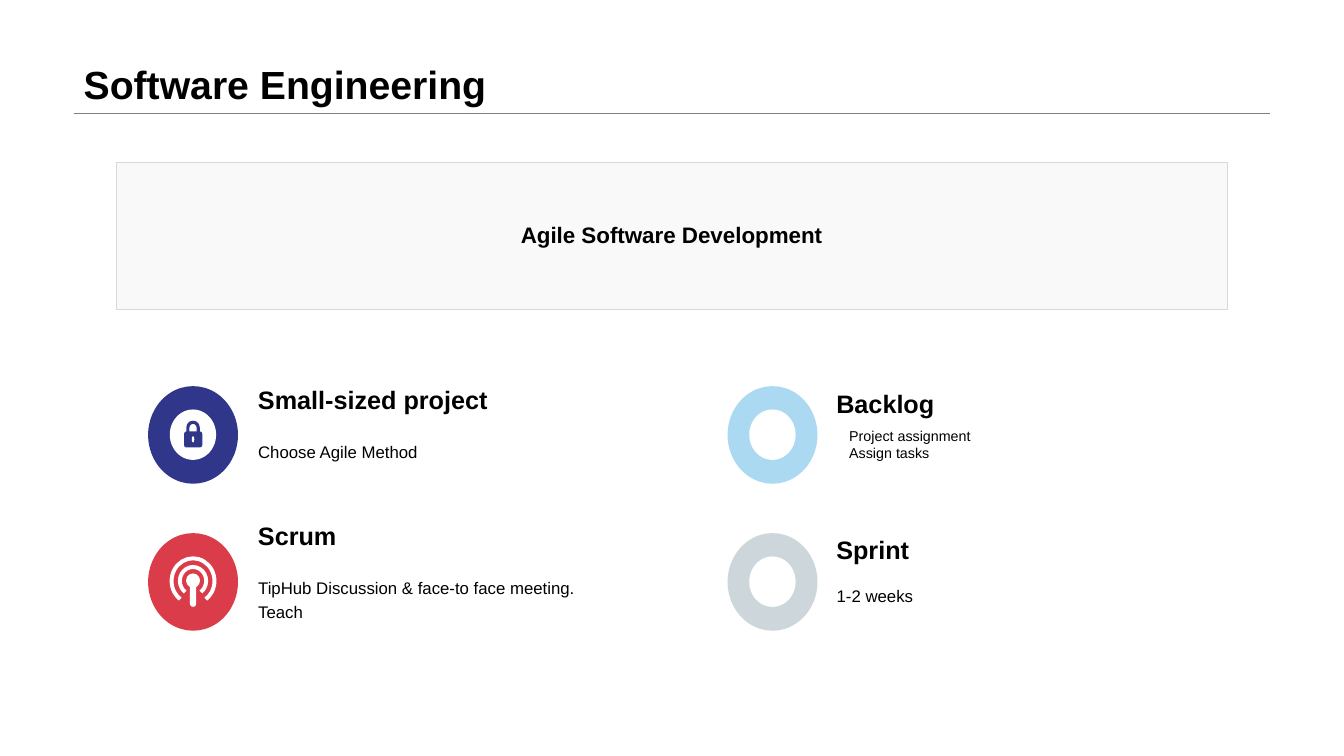
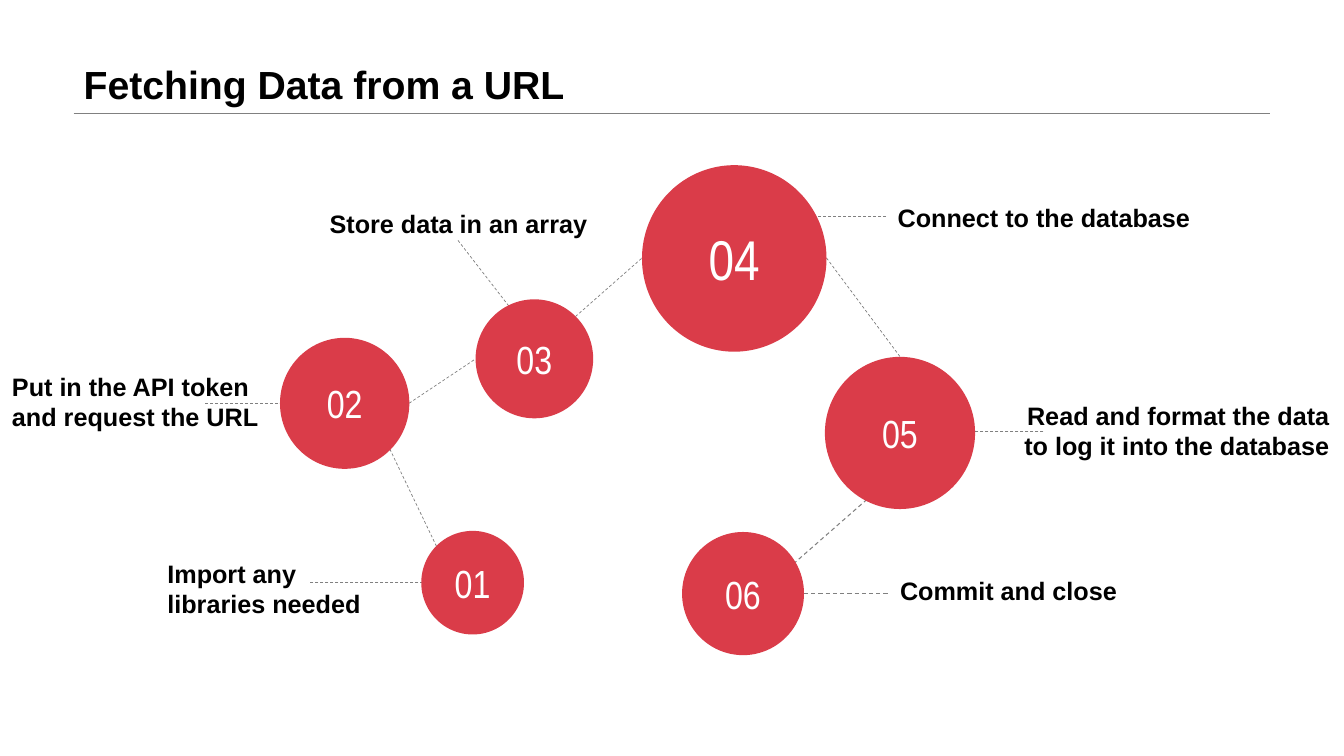
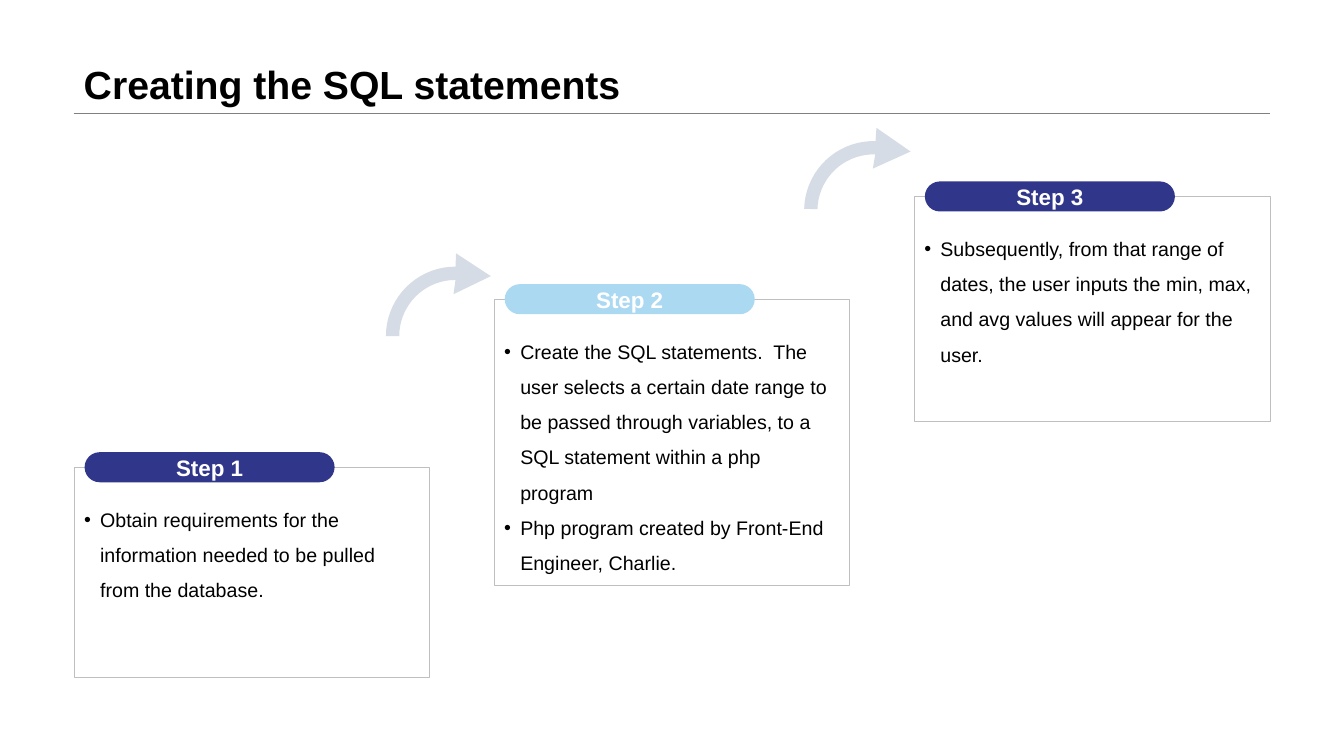
import math
import lxml.etree
import pptx
import pptx.dml.color
import pptx.enum.dml
import pptx.enum.shapes
import pptx.enum.text
import pptx.oxml.ns
import pptx.util

Pt = pptx.util.Pt
Kind = pptx.enum.shapes.MSO_SHAPE
Align = pptx.enum.text.PP_ALIGN
Hold = pptx.enum.text.MSO_ANCHOR
qn = pptx.oxml.ns.qn
STRAIGHT = pptx.enum.shapes.MSO_CONNECTOR.STRAIGHT

HUES = {
    "black": "000000", "white": "FFFFFF", "navy": "303689", "red": "DA3C49",
    "sky": "ACD9F2", "mist": "CDD7DB", "arrow": "D6DCE5", "panel": "F2F2F2",
    "edge": "D9D9D9", "frame": "BFBFBF", "rule": "808080",
}


def put(frame, lines, size, tint="black", bold=False, align=Align.LEFT, gap=None, face="Arial"):
    for i, line in enumerate(lines):
        para = frame.add_paragraph() if i else frame.paragraphs[0]
        para.alignment = align
        para.line_spacing = gap
        run = para.add_run()
        run.text = line
        run.font.name = face
        run.font.size = Pt(size)
        run.font.bold = bold
        run.font.color.rgb = hues[tint]


def form(slide, kind, box, fill, line=None, width=0.25):
    shape = slide.shapes.add_shape(kind, *[Pt(n) for n in box])
    shape.shadow.inherit = False
    if fill:
        shape.fill.solid()
        shape.fill.fore_color.rgb = hues[fill]
    else:
        shape.fill.background()
    if line:
        shape.line.color.rgb = hues[line]
        shape.line.width = Pt(width)
    else:
        shape.line.fill.background()
    shape.text_frame.vertical_anchor = Hold.MIDDLE
    return shape


hues = {name: pptx.dml.color.RGBColor.from_string(code) for name, code in HUES.items()}
deck = pptx.Presentation()
deck.slide_width = Pt(960)
deck.slide_height = Pt(540)
plain = deck.slide_layouts.get_by_name("Title Only")
lists = deck.slide_layouts.get_by_name("Comparison")
for layout in (plain, lists):
    title = layout.placeholders[0]
    title.left, title.top, title.width, title.height = Pt(52.6), Pt(0), Pt(854.6), Pt(80.6)
    title.text_frame.vertical_anchor = Hold.BOTTOM

slides = []
for layout, words in (
    (plain, "Software Engineering"),
    (plain, "Fetching Data from a URL"),
    (lists, "Creating the SQL statements"),
):
    slide = deck.slides.add_slide(layout)
    put(slide.shapes.title.text_frame, [words], 28, bold=True, gap=0.9)
    slides.append(slide)
agile, fetch, steps = slides

rule = agile.shapes.add_connector(STRAIGHT, Pt(52.6), Pt(80.8), Pt(907.2), Pt(80.8))
rule.line.color.rgb = hues["rule"]
rule.line.width = Pt(0.25)
lxml.etree.SubElement(rule.element.spPr, qn("a:effectLst"))
deck.slide_master.shapes.element.append(rule.element)

panel = form(agile, Kind.RECTANGLE, (82.9, 115.9, 793.7, 105.1), "panel", "edge")
tone = panel.element.spPr.find(qn("a:solidFill")).find(qn("a:srgbClr"))
lxml.etree.SubElement(tone, qn("a:alpha"), val="40000")
panel.text_frame.margin_bottom = Pt(5)
put(panel.text_frame, ["Agile Software Development"], 16, bold=True, align=Align.CENTER)

disc = (Kind.OVAL, 15.5, 16.7, 33.1, 36, "white", None, 0)
lock = [
    disc,
    (Kind.ROUNDED_RECTANGLE, 28.4, 25.8, 7.4, 13, None, "navy", 2.2),
    (Kind.ROUNDED_RECTANGLE, 25.7, 32.4, 13, 11.4, "navy", None, 0),
    (Kind.OVAL, 31.2, 35.8, 1.8, 4.4, "white", None, 0),
]
cast = [
    (Kind.ARC, 16.8, 18, 30.6, 32.4, None, "white", 2.8),
    (Kind.ARC, 22.7, 24.2, 18.8, 19.8, None, "white", 2.8),
    (Kind.OVAL, 27.1, 28.8, 10, 10.2, "white", None, 0),
    (Kind.ROUNDED_RECTANGLE, 29.9, 34, 4.4, 18.7, "white", None, 0),
]
for left, top, fill, icon, head, high, body, start, low, size, gap in (
    (105.8, 275.8, "navy", lock, "Small-sized project", 266.4,
     ["Choose Agile Method"], 177.3, 305.3, 12, 1.2),
    (105.8, 380.8, "red", cast, "Scrum", 363.8,
     ["TipHub Discussion & face-to face meeting.", "Teach"], 177.3, 411.1, 12, 1.2),
    (519.7, 275.8, "sky", [disc], "Backlog", 269.2,
     ["Project assignment", "Assign tasks"], 599.5, 301.4, 10.2, None),
    (519.7, 380.8, "mist", [disc], "Sprint", 373.6,
     ["1-2 weeks"], 590.5, 408.2, 12, 1.2),
):
    form(agile, Kind.OVAL, (left, top, 64.2, 69.7), fill)
    for kind, x, y, wide, tall, tint, line, width in icon:
        part = form(agile, kind, (left + x, top + y, wide, tall), tint, line, width)
        if kind == Kind.ARC:
            part.adjustments[0] = 125 * 0.6
            part.adjustments[1] = 55 * 0.6
        elif kind == Kind.ROUNDED_RECTANGLE:
            part.adjustments[0] = 0.15 if tint == "navy" else 0.5
    for words, x, y, tall, font, bold, space, hold in (
        ([head], left + 71.4 if left < 500 else left + 70.6, high, 33.1, 18, True, None, Hold.BOTTOM),
        (body, start, low, 31.7, size, False, gap, Hold.MIDDLE),
    ):
        frame = agile.shapes.add_textbox(Pt(x), Pt(y), Pt(270), Pt(tall)).text_frame
        frame.word_wrap = True
        frame.vertical_anchor = hold
        put(frame, words, font, bold=bold, gap=space)

for words, x, y, wide, tall, align, fill in (
    (["Import any", "libraries needed"], 112.5, 395.4, 172.8, 54.7, Align.LEFT, "white"),
    (["Put in the API token", "and request the URL"], 1.5, 261.4, 200, 50.4, Align.LEFT, None),
    (["Store data in an array"], 228.4, 145.4, 210, 26.6, Align.LEFT, None),
    (["Connect to the database"], 634.1, 141.1, 230, 27.4, Align.LEFT, None),
    (["Read and format the data", "to log it into the database"],
     716.7, 282.2, 240, 51.1, Align.RIGHT, None),
    (["Commit and close"], 635.8, 407.5, 172.8, 38.9, Align.LEFT, None),
):
    label = fetch.shapes.add_textbox(Pt(x), Pt(y), Pt(wide), Pt(tall))
    if fill:
        label.fill.solid()
        label.fill.fore_color.rgb = hues[fill]
    label.text_frame.word_wrap = True
    put(label.text_frame, words, 18, bold=True, align=align)

for ends, width in (
    ((226.8, 288, 145.4, 288), 0.5),
    ((378.7, 238.3, 326.9, 171.4), 0.5),
    ((745.2, 308.2, 663.8, 308.2), 0.5),
    ((632.9, 154.8, 551.5, 154.8), 0.5),
    ((302.4, 416.2, 221, 416.2), 0.5),
    ((553.7, 424.1, 634.3, 424.1), 0.75),
    ((311.8, 390.2, 278.6, 321.1), 0.5),
    ((292.3, 288, 339.8, 256.3), 0.5),
    ((411.1, 226.1, 458.6, 184.3), 0.5),
    ((590.4, 184.3, 643, 254.9), 0.5),
    ((627.1, 349.9, 558, 410.4), 0.75),
):
    wire = fetch.shapes.add_connector(STRAIGHT, *[Pt(n) for n in ends])
    wire.line.color.rgb = hues["rule"]
    wire.line.width = Pt(width)
    wire.line.dash_style = pptx.enum.dml.MSO_LINE.DASH
    lxml.etree.SubElement(wire.element.spPr, qn("a:effectLst"))

for i, (ball, size) in enumerate((
    ((300.9, 379.2, 73.4, 74), 28),
    ((200, 241.3, 92.4, 93.6), 28),
    ((339.7, 213.8, 84, 85), 28),
    ((458.6, 118, 131.8, 133.2), 40),
    ((589.2, 254.9, 107.3, 108.7), 28),
    ((487.2, 380, 87.1, 88), 28),
), 1):
    frame = form(fetch, Kind.OVAL, ball, "red").text_frame
    frame.word_wrap = False
    put(frame, [f"{i:02}"], size, "white", align=Align.CENTER, face="Arial Narrow")

cards = list(steps.placeholders)[1:]
spare = cards.pop().element
spare.getparent().remove(spare)
for i, (card, top, tall, fill, words) in enumerate(zip(
    cards, (333.8, 213.8, 140.4), (150, 204.4, 160.6), ("navy", "sky", "navy"),
    (
        ["Obtain requirements for the information needed to be pulled from the database."],
        ["Create the SQL statements.  The user selects a certain date range to be passed "
         "through variables, to a SQL statement within a php program",
         "Php program created by Front-End Engineer, Charlie."],
        ["Subsequently, from that range of dates, the user inputs the min, max, "
         "and avg values will appear for the user."],
    ),
)):
    left = 52.8 + 300.1 * i
    card.left, card.top, card.width, card.height = Pt(left), Pt(top), Pt(254), Pt(tall)
    card.line.color.rgb = hues["frame"]
    card.line.width = Pt(0.25)
    frame = card.text_frame
    frame.auto_size = pptx.enum.text.MSO_AUTO_SIZE.NONE
    frame.vertical_anchor = Hold.TOP
    frame.margin_top = Pt(20.3)
    put(frame, words, 14, gap=1.5)
    for para in frame.paragraphs:
        para.space_before = Pt(0)
        props = para._p.get_or_add_pPr()
        props.set("marL", str(Pt(11.5)))
        props.set("indent", str(-Pt(11.5)))
        lxml.etree.SubElement(props, qn("a:buFont"), typeface="Arial")
        lxml.etree.SubElement(props, qn("a:buChar"), char="•")
    pill = form(steps, Kind.ROUNDED_RECTANGLE, (left + 7.6, top - 10.8, 178.6, 21.5), fill)
    pill.adjustments[0] = 0.5
    put(pill.text_frame, [f"Step {i + 1}"], 16, "white", True, Align.CENTER)

turns = [math.radians(n) for n in range(0, 91, 5)]
outer = [(325.4 - 49.7 * math.cos(a), 240.2 - 49.7 * math.sin(a)) for a in turns]
inner = [(325.4 - 40.2 * math.cos(a), 240.2 - 40.2 * math.sin(a)) for a in reversed(turns)]
tip = [(325.8, 181), (350.6, 197.3), (324, 210.2)]
curve = [(Pt(x), Pt(y)) for x, y in outer + tip + inner]
for right, down, turn in ((0, 0, 0), (299.5, -90, 1.5)):
    pen = steps.shapes.build_freeform(*curve[0])
    pen.add_line_segments(curve[1:], close=True)
    arrow = pen.convert_to_shape(Pt(right), Pt(down))
    arrow.rotation = turn
    arrow.shadow.inherit = False
    arrow.fill.solid()
    arrow.fill.fore_color.rgb = hues["arrow"]
    arrow.line.fill.background()

deck.save("out.pptx")
